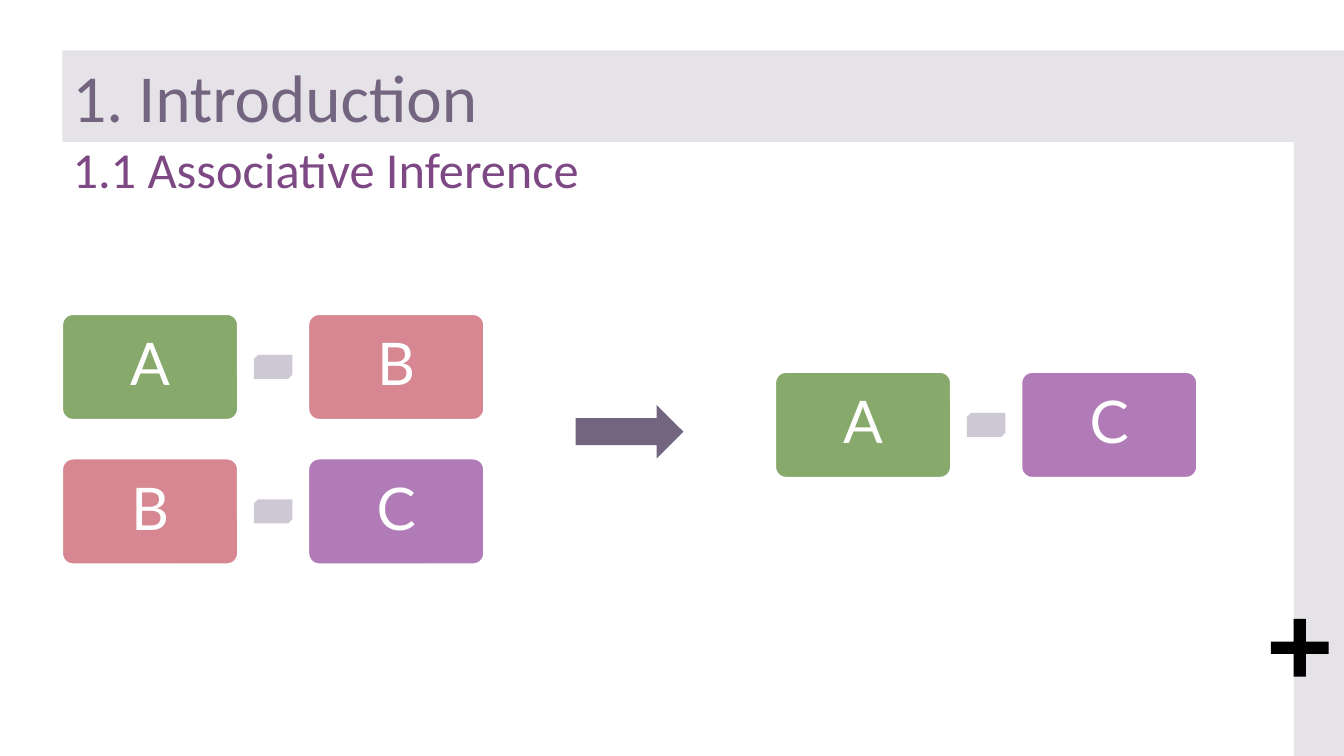
from pptx import Presentation
from pptx.dml.color import RGBColor
from pptx.enum import shapes, text
from pptx.util import Pt

COLORS = {
    "panel": "E5E2E8", "heading": "736580", "subheading": "7D4883",
    "A": "87A96B", "B": "D68791", "C": "B07BB6",
    "link": "CEC8D4", "white": "FFFFFF", "black": "000000",
}
SHAPE = shapes.MSO_SHAPE


def color(name):
    return RGBColor.from_string(COLORS[name])


def add_block(parent, kind, box, fill, line=None):
    """Add a flat preset shape to a slide or group; box is left, top, width, height."""
    shape = parent.shapes.add_shape(kind, *(Pt(length) for length in box))
    shape.shadow.inherit = False
    shape.fill.solid()
    shape.fill.fore_color.rgb = color(fill)
    if line:
        shape.line.color.rgb = color(line)
        shape.line.width = Pt(1)
    else:
        shape.line.fill.background()
    return shape


def write(shape, wording, size, font, tint, align, anchor):
    frame = shape.text_frame
    frame.word_wrap = True
    frame.auto_size = text.MSO_AUTO_SIZE.NONE
    frame.vertical_anchor = anchor
    paragraph = frame.paragraphs[0]
    paragraph.alignment = align
    run = paragraph.add_run()
    run.text = wording
    run.font.size = Pt(size)
    run.font.name = font
    run.font.color.rgb = color(tint)
    return paragraph


def add_sidebar(slide, left, top, width, height):
    add_block(slide, SHAPE.RECTANGLE, (left, top, width, height), "panel")
    plus = add_block(slide, SHAPE.CROSS, (left - 16.5, top + 355.7, 41.3, 41.3), "black")
    plus.adjustments[0] = 0.395


def add_subheading(slide, left, top, width, height):
    title = slide.shapes.title
    title.left, title.top, title.width, title.height = (
        Pt(length) for length in (left, top, width, height))
    write(title, "1.1 Associative Inference", 36, "Calibri", "subheading",
          text.PP_ALIGN.LEFT, text.MSO_ANCHOR.TOP)


def add_header(slide, left, top, width, height):
    header = add_block(slide, SHAPE.RECTANGLE, (left, top, width, height), "panel")
    write(header, "1. Introduction", 48, "Calibri", "heading",
          text.PP_ALIGN.LEFT, text.MSO_ANCHOR.MIDDLE)


def add_pair(slide, left, top, letters):
    """Two lettered cards joined by a small link, as one group."""
    card_width, card_height, step = 125.2, 75.2, 175.8
    link_width, link_height = 27.4, 17
    group = slide.shapes.add_group_shape()
    for index, letter in enumerate(letters):
        box = (left + index * step, top, card_width, card_height)
        card = add_block(group, SHAPE.ROUNDED_RECTANGLE, box, letter, "white")
        card.adjustments[0] = 0.1
        frame = card.text_frame
        frame.margin_left = frame.margin_right = Pt(12)
        frame.margin_top = frame.margin_bottom = Pt(12)
        paragraph = write(card, letter, 42, "Lato", "white",
                          text.PP_ALIGN.CENTER, text.MSO_ANCHOR.MIDDLE)
        paragraph.line_spacing = 0.9
    link_box = (left + (step + card_width - link_width) / 2,
                top + (card_height - link_height) / 2, link_width, link_height)
    link = add_block(group, SHAPE.SNIP_2_DIAG_RECTANGLE, link_box, "link")
    link.adjustments[0] = 0.17
    link.adjustments[1] = 0


def add_inference(slide, left, top):
    """Premises AB and BC on the left, an arrow, conclusion AC on the right."""
    row_step = 103.2
    add_pair(slide, left, top, "AB")
    add_pair(slide, left, top + row_step, "BC")
    add_pair(slide, left + 509.3, top + 41.4, "AC")
    add_block(slide, SHAPE.RIGHT_ARROW, (left + 366.6, top + 64.7, 77, 38.3), "heading")


def main():
    presentation = Presentation()
    presentation.slide_width, presentation.slide_height = Pt(960), Pt(540)
    slide = presentation.slides.add_slide(presentation.slide_layouts[5])
    margin = 44.6
    add_sidebar(slide, 924.3, 86.4, 35.7, 453.6)
    add_subheading(slide, margin, 95, 651, 65.5)
    add_inference(slide, margin, 224.5)
    add_header(slide, margin, 36, 960 - margin, 65.3)
    presentation.save("out.pptx")


if __name__ == "__main__":
    main()
